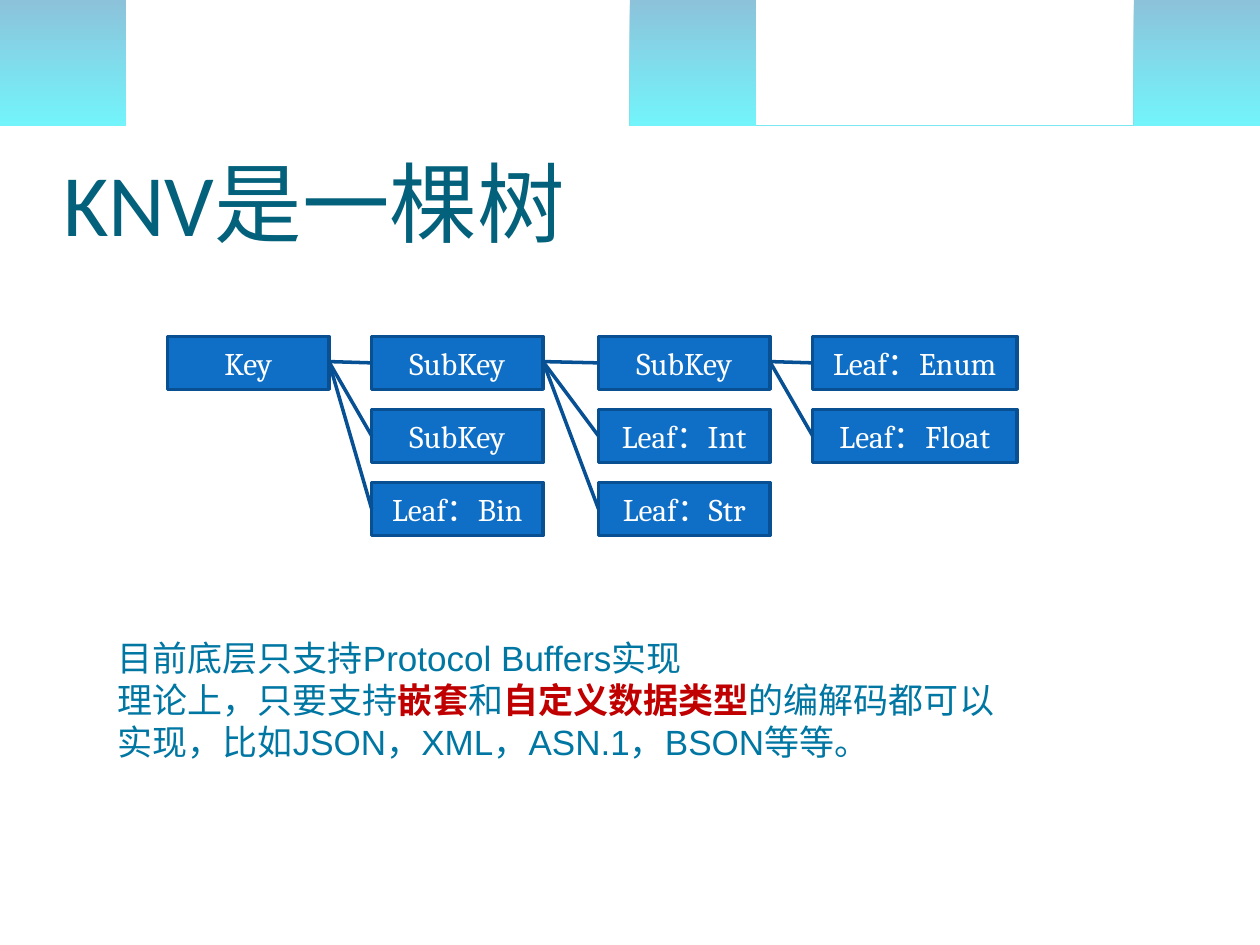
from lxml.etree import SubElement
from pptx import Presentation
from pptx.dml.color import RGBColor
from pptx.enum.shapes import MSO_CONNECTOR as Link, MSO_SHAPE as Kind
from pptx.enum.text import MSO_ANCHOR as Anchor, MSO_AUTO_SIZE as Fit, PP_ALIGN as Align
from pptx.oxml.ns import qn
from pptx.util import Inches, Pt

WHITE = RGBColor(0xFF, 0xFF, 0xFF)
DARK = RGBColor(0x04, 0x61, 0x7B)
TEAL = RGBColor(0x00, 0x76, 0xA3)
RED = RGBColor(0xC0, 0x00, 0x00)
BLUE = RGBColor(0x0F, 0x6F, 0xC6)
EDGE = RGBColor(0x08, 0x50, 0x91)
LINE = RGBColor(0x06, 0x50, 0x93)
SKY = RGBColor(0x8C, 0xC3, 0xDB)
AQUA = RGBColor(0x73, 0xF4, 0xFB)

WIDE, HIGH = 10, 7.5
TOP, STEP, TALL = 2.67, 0.58, 0.42
TREE = [
    (1.33, 1.28, ["Key"]),
    (2.95, 1.36, ["SubKey", "SubKey", "Leaf：Bin"]),
    (4.75, 1.36, ["SubKey", "Leaf：Int", "Leaf：Str"]),
    (6.45, 1.62, ["Leaf：Enum", "Leaf：Float"]),
]
NOTE = [
    [("目前底层只支持Protocol Buffers实现", False)],
    [("理论上，只要支持", False), ("嵌套", True), ("和", False),
     ("自定义数据类型", True),
     ("的编解码都可以实现，比如JSON，XML，ASN.1，BSON等等。", False)],
]
UPPER = [(4.41, 0), (4.76, 0.17), (6.64, 0.63), (7.59, 0.63),
         (8.53, 0.63), (9.58, 0.26), (10, 0.09)]
LOWER = [(10.01, 0.37), (9.83, 0.44), (8.7, 0.76), (7.46, 0.76),
         (6.22, 0.75), (3.82, 0.28), (2.58, 0.35),
         (1.3, 0.36), (0.47, 0.83), (0, 1.13)]


def write(frame, lines, font, size, color, align=Align.LEFT, strong=RED):
    for i, runs in enumerate(lines):
        para = frame.add_paragraph() if i else frame.paragraphs[0]
        para.alignment = align
        for text, bold in runs:
            run = para.add_run()
            run.text = text
            run.font.name = font
            run.font.size = Pt(size)
            run.font.bold = bold
            run.font.color.rgb = strong if bold else color


def curve(knots, steps=24):
    dots = [knots[0]]
    for i in range(0, len(knots) - 1, 3):
        ends = knots[i:i + 4]
        for n in range(1, steps + 1):
            t = n / steps
            parts = ((1 - t) ** 3, 3 * t * (1 - t) ** 2, 3 * t * t * (1 - t), t ** 3)
            dots.append(tuple(sum(w * dot[k] for w, dot in zip(parts, ends))
                              for k in (0, 1)))
    return dots


def add_wave(slide):
    pen = slide.shapes.build_freeform(0.01, 0, scale=Inches(1))
    pen.add_line_segments(curve(UPPER) + curve(LOWER), close=True)
    wave = pen.convert_to_shape()
    wave.shadow.inherit = False
    wave.line.fill.background()
    wave.fill.gradient()
    wave.fill.gradient_angle = 270
    for stop, color, place in zip(wave.fill.gradient_stops, (SKY, AQUA), (0, 1)):
        stop.color.rgb = color
        stop.position = place


def add_title(slide):
    title = slide.shapes.title
    title.left, title.top = Inches(0.05 * WIDE), Inches(0.77)
    title.width, title.height = Inches(0.9 * WIDE), Inches(HIGH / 6)
    frame = title.text_frame
    frame.auto_size = Fit.NONE
    frame.vertical_anchor = Anchor.BOTTOM
    frame.margin_left = frame.margin_right = frame.margin_bottom = 0
    write(frame, [[("KNV是一棵树", False)]], "Calibri", 50, DARK)


def add_node(group, text, left, row, width):
    node = group.shapes.add_shape(Kind.RECTANGLE, Inches(left),
                                  Inches(TOP + row * STEP), Inches(width), Inches(TALL))
    node.shadow.inherit = False
    node.fill.solid()
    node.fill.fore_color.rgb = BLUE
    node.line.color.rgb = EDGE
    node.line.width = Pt(2)
    write(node.text_frame, [[(text, False)]], "Cambria", 18, WHITE, align=Align.CENTER)


def add_link(group, start, end, row):
    link = group.shapes.add_connector(
        Link.STRAIGHT, Inches(start), Inches(TOP + 0.2),
        Inches(end), Inches(TOP + TALL / 2 + row * STEP))
    link.line.color.rgb = LINE
    link.line.width = Pt(2)
    SubElement(link.element.spPr, qn("a:effectLst"))


def add_tree(slide):
    group = slide.shapes.add_group_shape()
    for left, width, names in TREE:
        for row, name in enumerate(names):
            add_node(group, name, left, row, width)
    for (left, width, _), (end, _, names) in zip(TREE, TREE[1:]):
        for row in range(len(names)):
            add_link(group, left + width, end, row)


def add_note(slide):
    box = slide.shapes.add_textbox(Inches(WIDE / 12), Inches(HIGH * 2 / 3),
                                   Inches(7.42), Inches(1.1))
    box.text_frame.word_wrap = True
    write(box.text_frame, NOTE, "Arial", 20, TEAL)


def main():
    deck = Presentation()
    deck.slide_width, deck.slide_height = Inches(WIDE), Inches(HIGH)
    slide = deck.slides.add_slide(deck.slide_layouts[5])
    add_wave(slide)
    add_title(slide)
    add_tree(slide)
    add_note(slide)
    deck.save("out.pptx")


if __name__ == "__main__":
    main()
